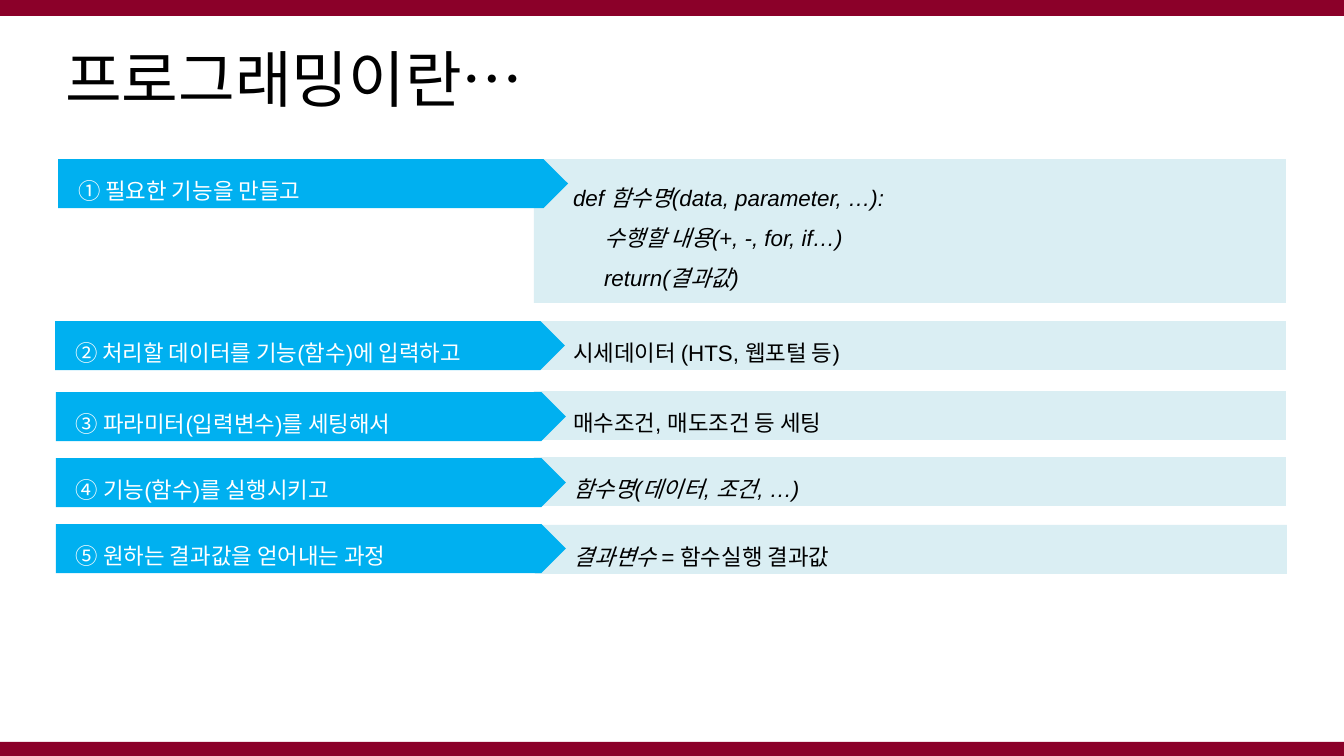
"""Builds a slide that explains programming in five steps."""
from pptx import Presentation
from pptx.dml.color import RGBColor
from pptx.enum.shapes import MSO_SHAPE
from pptx.enum.text import MSO_ANCHOR, PP_ALIGN
from pptx.util import Emu, Pt

SLIDE_WIDTH, SLIDE_HEIGHT = 1344, 756
BAR_HEIGHT = 49
STEP_WIDTH = 510
DETAIL_WIDTH = 752
CODE_INDENT = 31

STEPS = [
    ("① 필요한 기능을 만들고", (58, 159), (534, 159), 144,
     [(0, [("def 함수명(data, parameter, …):", True)]),
      (CODE_INDENT, [("수행할 내용(+, -, for, if…)", True)]),
      (CODE_INDENT, [("return(결과값)", True)])]),
    ("② 처리할 데이터를 기능(함수)에 입력하고", (55, 321), (534, 321), BAR_HEIGHT,
     [(0, [("시세데이터 (HTS, 웹포털 등)", False)])]),
    ("③ 파라미터(입력변수)를 세팅해서", (56, 392), (534, 391), BAR_HEIGHT,
     [(0, [("매수조건, 매도조건 등 세팅", False)])]),
    ("④ 기능(함수)를 실행시키고", (56, 458), (534, 457), BAR_HEIGHT,
     [(0, [("함수명(데이터, 조건, …)", True)])]),
    ("⑤ 원하는 결과값을 얻어내는 과정", (56, 524), (535, 525), BAR_HEIGHT,
     [(0, [("결과변수 = ", True), ("함수실행 결과값", False)])]),
]


def px(length):
    """Turn pixels into EMU."""
    return Emu(round(length * 914400 / 100.8))


def color(value):
    """Turn a hex string into a colour."""
    return RGBColor.from_string(value)


def add_block(slide, preset, left, top, width, height, fill):
    """Add a flat filled shape without outline or shadow."""
    block = slide.shapes.add_shape(preset, px(left), px(top), px(width), px(height))
    block.fill.solid()
    block.fill.fore_color.rgb = color(fill)
    block.line.fill.background()
    block.shadow.inherit = False
    return block


def write_lines(block, lines, ink, left_inset, inset):
    """Write indented lines of (text, italic) pieces into a block."""
    frame = block.text_frame
    frame.word_wrap = True
    frame.vertical_anchor = MSO_ANCHOR.MIDDLE
    frame.margin_left = px(left_inset)
    frame.margin_top = frame.margin_right = frame.margin_bottom = px(inset)
    for number, (indent, pieces) in enumerate(lines):
        line = frame.add_paragraph() if number else frame.paragraphs[0]
        line.alignment = PP_ALIGN.LEFT
        line.line_spacing = 1.5
        line._p.get_or_add_pPr().set("marL", str(px(indent)))
        for words, italic in pieces:
            piece = line.add_run()
            piece.text = words
            piece.font.name = "Arial"
            piece.font.size = Pt(16)
            piece.font.italic = italic
            piece.font.color.rgb = color(ink)


def add_step(slide, step, step_at, detail_at, detail_height, details):
    """Add a detail panel and the step arrow that points into it."""
    panel = add_block(slide, MSO_SHAPE.RECTANGLE, *detail_at, DETAIL_WIDTH, detail_height, "DAEEF3")
    write_lines(panel, details, "000000", 39, 0)
    arrow = add_block(slide, MSO_SHAPE.PENTAGON, *step_at, STEP_WIDTH, BAR_HEIGHT, "00B0F0")
    write_lines(arrow, [(0, [(step, False)])], "FFFFFF", 20, 5)


def set_title(slide, words):
    """Place and format the title placeholder."""
    title = slide.shapes.title
    title.left, title.top, title.width, title.height = px(55), px(40), px(1231), px(85)
    title.text_frame.text = words
    title.text_frame.vertical_anchor = MSO_ANCHOR.MIDDLE
    heading = title.text_frame.paragraphs[0]
    heading.alignment = PP_ALIGN.LEFT
    heading.line_spacing = 0.9
    font = heading.runs[0].font
    font.name = "Lato"
    font.size = Pt(44)
    font.color.rgb = color("000000")


def main():
    """Build and save the slide."""
    deck = Presentation()
    deck.slide_width, deck.slide_height = px(SLIDE_WIDTH), px(SLIDE_HEIGHT)
    slide = deck.slides.add_slide(deck.slide_layouts[5])
    for top, height in ((0, 16), (742, 14)):
        add_block(slide, MSO_SHAPE.RECTANGLE, 0, top, SLIDE_WIDTH, height, "8B0029")
    set_title(slide, "프로그래밍이란…")
    for step in STEPS:
        add_step(slide, *step)
    deck.save("out.pptx")


if __name__ == "__main__":
    main()
